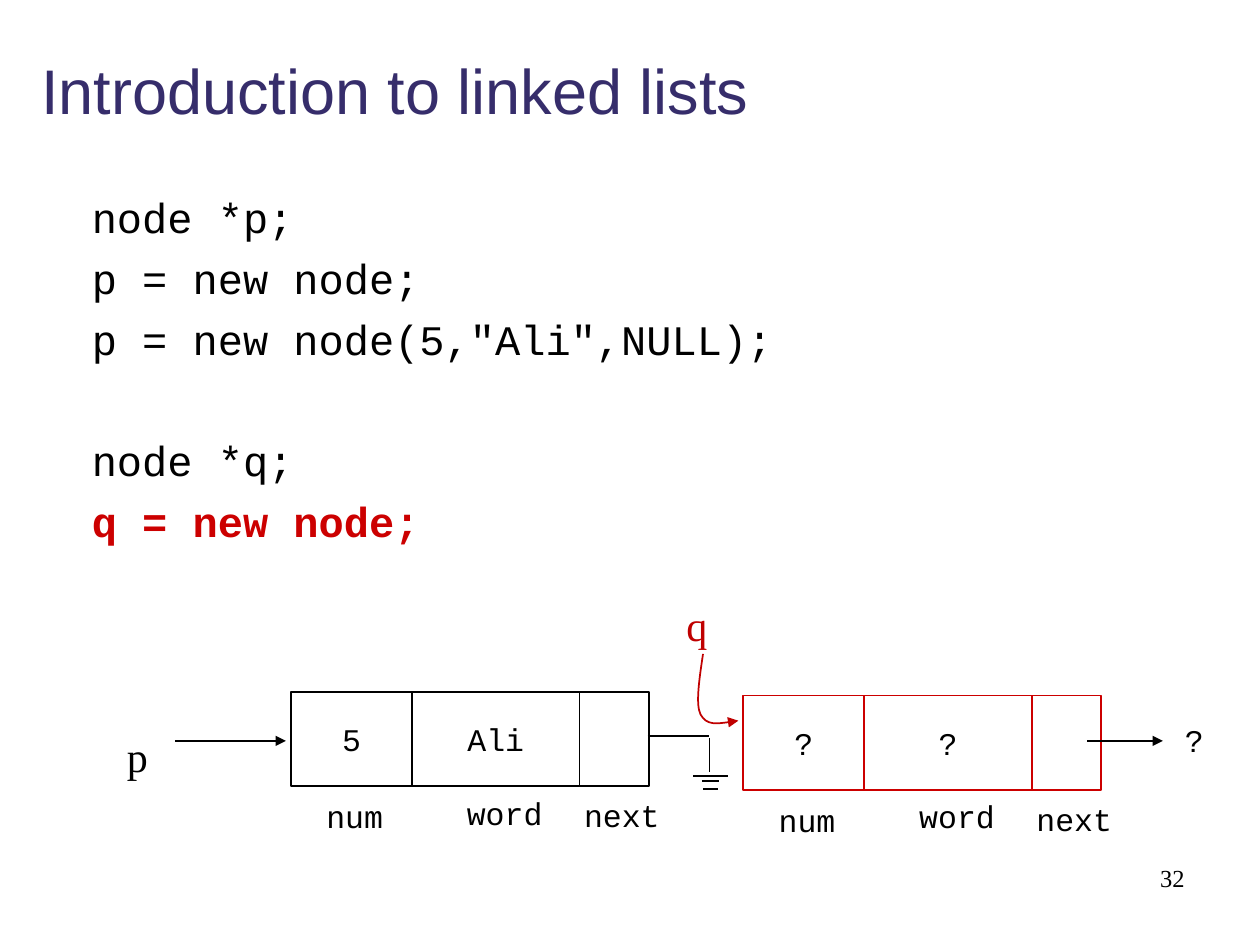
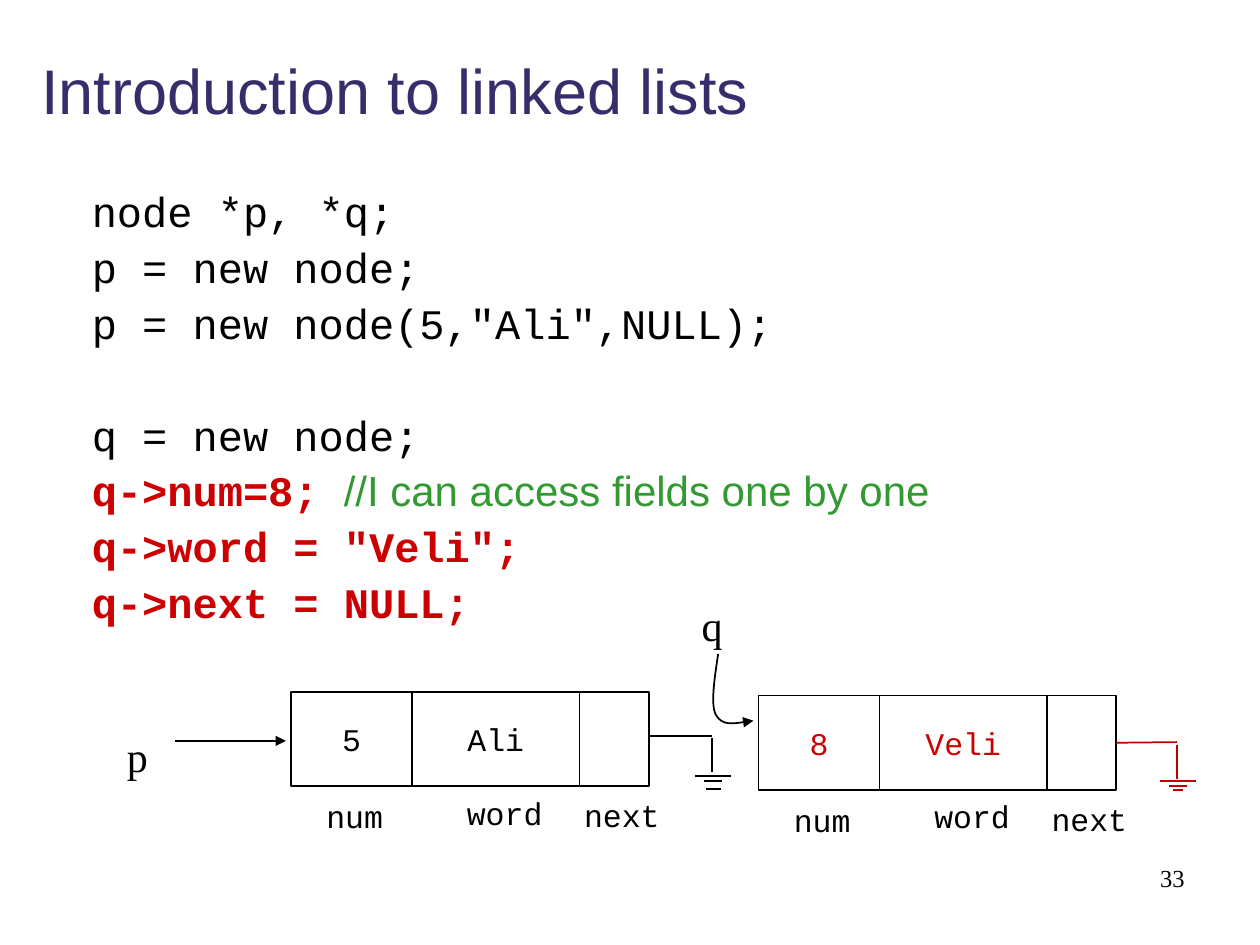
from dataclasses import dataclass

from lxml import etree
from pptx import Presentation
from pptx.dml.color import RGBColor
from pptx.enum import shapes, text
from pptx.oxml.ns import qn
from pptx.util import Inches, Pt


@dataclass(frozen=True)
class Theme:
    title: str = "362D6B"
    ink: str = "000000"
    paper: str = "FFFFFF"
    red: str = "CC0000"
    dark_red: str = "C00000"
    green: str = "339933"
    sans: str = "Arial"
    mono: str = "Courier New"
    serif: str = "Times New Roman"
    title_size: float = 36
    code_size: float = 24
    field_size: float = 18
    number_size: float = 14


THEME = Theme()
LEFT, CENTER, RIGHT = text.PP_ALIGN.LEFT, text.PP_ALIGN.CENTER, text.PP_ALIGN.RIGHT
TOP, MIDDLE = text.MSO_ANCHOR.TOP, text.MSO_ANCHOR.MIDDLE
CELL_WIDTHS = (0.96, 1.33, 0.55)
CELL_HEIGHT = 0.75
FIELD_LABELS = (("num", 0.14, 0.79, 0.73), ("word", 1.09, 0.76, 1.21), ("next", 2.17, 0.78, 0.91))
POINTER_CURVE = ((-0.32, -0.33), (-0.35, -0.13), (-0.38, 0.07), (-0.34, 0.15),
                 (-0.29, 0.24), (-0.16, 0.22), (-0.04, 0.20))
BLACK_BARS = ((0.14, 0.32), (0.07, 0.36), (0.06, 0.42))
RED_BARS = ((0.14, 0.31), (0.07, 0.35), (0.04, 0.38))


def rgb(color):
    return RGBColor.from_string(color)


def add_run(paragraph, words, size, font=THEME.mono, color=THEME.ink, bold=False):
    run = paragraph.add_run()
    run.text = words
    run.font.size = Pt(size)
    run.font.name = font
    run.font.bold = bold
    run.font.color.rgb = rgb(color)


def write(shape, words, size=THEME.field_size, align=CENTER, anchor=TOP, wrap=True, **font_format):
    frame = shape.text_frame
    frame.word_wrap = wrap
    frame.vertical_anchor = anchor
    paragraph = frame.paragraphs[0]
    paragraph.alignment = align
    add_run(paragraph, words, size, **font_format)


def add_box(slide, left, top, width, height):
    return slide.shapes.add_textbox(Inches(left), Inches(top), Inches(width), Inches(height))


def add_text(slide, words, left, top, width, height=0.4, **text_format):
    write(add_box(slide, left, top, width, height), words, **text_format)


def style_line(shape, color, arrow=False):
    shape.line.color.rgb = rgb(color)
    shape.line.width = Pt(1)
    if arrow:
        etree.SubElement(shape.line._get_or_add_ln(), qn("a:tailEnd"), type="triangle")


def add_line(slide, start, end, color=THEME.ink, arrow=False, source=None):
    points = [Inches(value) for value in (*start, *end)]
    connector = slide.shapes.add_connector(shapes.MSO_CONNECTOR.STRAIGHT, *points)
    style_line(connector, color, arrow)
    etree.SubElement(connector._element.spPr, qn("a:effectLst"))
    if source is not None:
        connector.begin_connect(source, 3)


def add_node(slide, left, top, values, line=THEME.ink, color=THEME.ink):
    cell_left = left
    for value, width in zip(values, CELL_WIDTHS):
        cell = slide.shapes.add_shape(shapes.MSO_SHAPE.RECTANGLE, Inches(cell_left), Inches(top),
                                      Inches(width), Inches(CELL_HEIGHT))
        cell.shadow.inherit = False
        cell.fill.solid()
        cell.fill.fore_color.rgb = rgb(THEME.paper)
        style_line(cell, line)
        if value:
            write(cell, value, anchor=MIDDLE, wrap=False, color=color)
        cell_left += width
    for label, across, down, width in FIELD_LABELS:
        add_text(slide, label, left + across, top + down, width)
    return cell


def add_ground(slide, left, top, bars, color=THEME.ink, source=None):
    stem = left + 0.49
    add_line(slide, (left, top), (stem, top), color, source=source)
    add_line(slide, (stem, top + 0.02), (stem, top + 0.29), color)
    for half_width, drop in bars:
        center = stem + 0.01
        add_line(slide, (center - half_width, top + drop), (center + half_width, top + drop), color)


def add_pointer_name(slide, name, left, top, color=THEME.ink):
    add_text(slide, name, left, top, 0.36, 0.5, size=THEME.code_size, font=THEME.serif,
             color=color, wrap=False)


def add_curved_pointer(slide, node_left, node_top, color):
    points = [(Inches(node_left + x), Inches(node_top + y)) for x, y in POINTER_CURVE]
    builder = slide.shapes.build_freeform(*points[0])
    builder.add_line_segments(points[1:], close=False)
    curve = builder.convert_to_shape()
    curve.shadow.inherit = False
    curve.fill.background()
    style_line(curve, color, arrow=True)
    segments = list(curve._element.iter(qn("a:lnTo")))
    outline = segments[0].getparent()
    for first in range(0, len(segments), 3):
        bezier = etree.SubElement(outline, qn("a:cubicBezTo"))
        for segment in segments[first:first + 3]:
            bezier.append(segment[0])
            outline.remove(segment)


def add_p_list(slide, ground_left):
    add_pointer_name(slide, "p", 0.91, 5.75)
    add_node(slide, 2.31, 5.49, ("5", "Ali", ""))
    add_line(slide, (1.39, 5.88), (2.27, 5.88), arrow=True)
    add_ground(slide, ground_left, 5.84, BLACK_BARS)


def add_q_node(slide, left, values, pointer_color, **node_format):
    top = 5.52
    last_cell = add_node(slide, left, top, values, **node_format)
    add_pointer_name(slide, "q", left - 0.55, 4.71, pointer_color)
    add_curved_pointer(slide, left, top, pointer_color)
    return last_cell


def add_code(slide, blocks, line_spacing, block_gap):
    frame = add_box(slide, 0.21, 1.47, 9.19, 3.63).text_frame
    frame.word_wrap = True
    paragraph = None
    for block in blocks:
        for index, runs in enumerate(block):
            new_block = paragraph is not None and index == 0
            paragraph = frame.add_paragraph() if paragraph is not None else frame.paragraphs[0]
            paragraph.alignment = LEFT
            paragraph.line_spacing = line_spacing
            paragraph.space_before = Pt(block_gap if new_block else 6)
            properties = paragraph._p.get_or_add_pPr()
            properties.set("marL", str(Inches(0.42)))
            properties.set("indent", "0")
            tabs = etree.SubElement(properties, qn("a:tabLst"))
            etree.SubElement(tabs, qn("a:tab"), pos=str(Inches(2)), algn="l")
            for words, run_format in runs:
                add_run(paragraph, words, THEME.code_size, **run_format)


def plain(words):
    return [(words, {})]


def new(words):
    return [(words, {"color": THEME.red, "bold": True})]


def add_slide(presentation, number):
    slide = presentation.slides.add_slide(presentation.slide_layouts[6])
    add_text(slide, "Introduction to linked lists", 0.23, 0.17, 9.77, 1.08, size=THEME.title_size,
             font=THEME.sans, color=THEME.title, align=LEFT, anchor=MIDDLE)
    add_text(slide, str(number), 7.42, 6.8, 2.08, 0.5, size=THEME.number_size,
             font=THEME.serif, align=RIGHT)
    return slide


def add_allocation_slide(presentation):
    slide = add_slide(presentation, 32)
    add_code(slide, [
        [plain("node *p;"), plain("p = new node;"), plain('p = new node(5,"Ali",NULL);')],
        [plain("node *q;"), new("q = new node;")],
    ], line_spacing=1.0, block_gap=40.7)
    add_p_list(slide, 5.14)
    add_q_node(slide, 5.9, ("?", "?", ""), THEME.dark_red, line=THEME.red)
    add_line(slide, (8.63, 5.88), (9.23, 5.88), arrow=True)
    add_text(slide, "?", 9.28, 5.67, 0.4)


def add_field_access_slide(presentation):
    slide = add_slide(presentation, 33)
    comment = ("//I can access fields one by one", {"font": THEME.sans, "color": THEME.green})
    add_code(slide, [
        [plain("node *p, *q;"), plain("p = new node;"), plain('p = new node(5,"Ali",NULL);')],
        [plain("q = new node;"), new("q->num=8;\t") + [comment],
         new('q->word = "Veli";'), new("q->next = NULL;")],
    ], line_spacing=0.9, block_gap=37.9)
    add_p_list(slide, 5.16)
    next_cell = add_q_node(slide, 6.02, ("8", "Veli", ""), THEME.ink, color=THEME.red)
    add_ground(slide, 8.85, 5.89, RED_BARS, THEME.dark_red, source=next_cell)


def main():
    presentation = Presentation()
    presentation.slide_width = Inches(10)
    presentation.slide_height = Inches(7.5)
    add_allocation_slide(presentation)
    add_field_access_slide(presentation)
    presentation.save("out.pptx")


if __name__ == "__main__":
    main()
